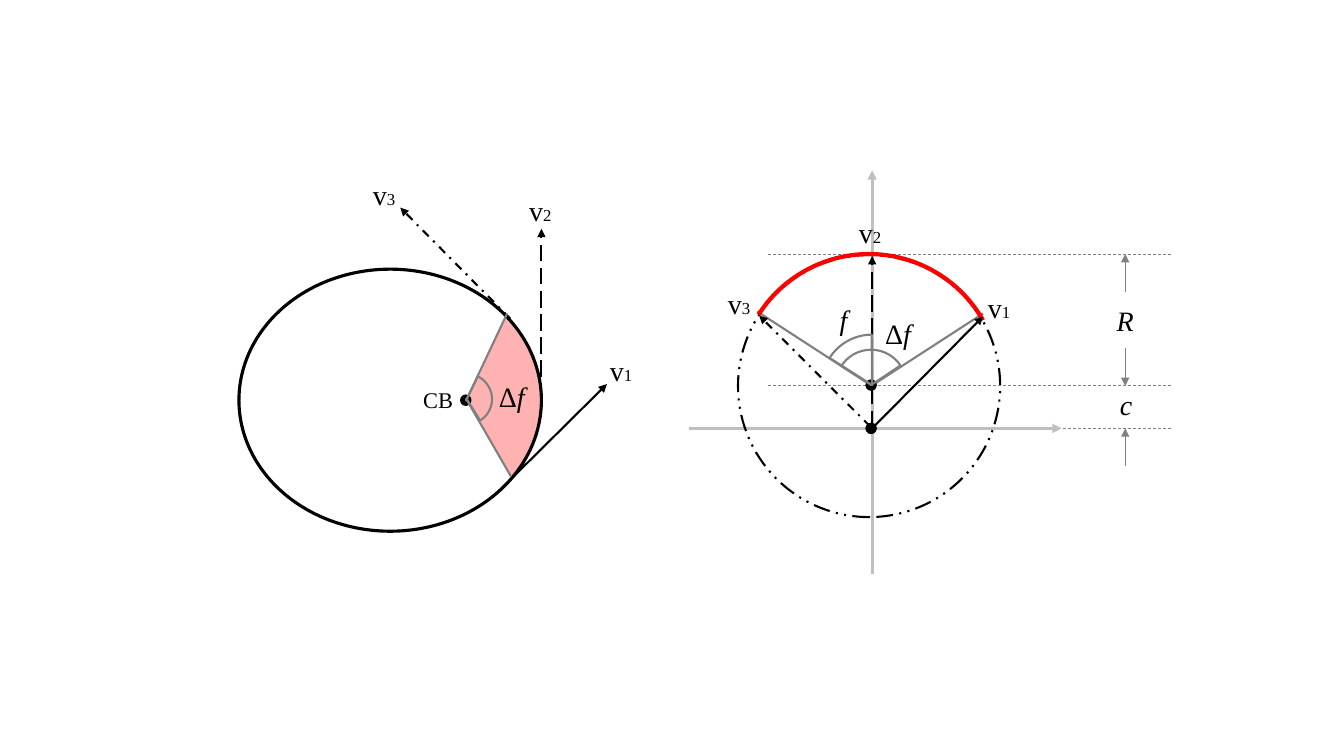
from lxml.etree import SubElement
from pptx import Presentation
from pptx.dml.color import RGBColor
from pptx.enum.dml import MSO_LINE as DASH
from pptx.enum.shapes import MSO_CONNECTOR, MSO_SHAPE as SHAPE
from pptx.enum.text import MSO_AUTO_SIZE, PP_ALIGN as ALIGN
from pptx.oxml.ns import qn
from pptx.util import Inches, Pt

BLACK = RGBColor(0x00, 0x00, 0x00)
GRAY = RGBColor(0x80, 0x80, 0x80)
SILVER = RGBColor(0xBF, 0xBF, 0xBF)
RED = RGBColor(0xFF, 0x00, 0x00)

FONT = "Times New Roman"
BIG, MEDIUM, SMALL = 20, 16, 12
DIAMETER = 2.6
DOT = 0.1
SECTOR = [(4.63, 3.99), (5.07, 4.73), (5.14, 4.65), (5.25, 4.48), (5.3, 4.37),
          (5.35, 4.17), (5.38, 4.01), (5.37, 3.87), (5.33, 3.67), (5.26, 3.44),
          (5.17, 3.32), (5.03, 3.11)]
ORBIT_VELOCITIES = [((4.92, 4.9), (6.02, 3.81), None),
                    ((5.37, 3.97), (5.37, 2.27), DASH.LONG_DASH),
                    ((5.06, 3.16), (3.97, 2.06), DASH.DASH_DOT)]
HODOGRAPH_VELOCITIES = [((8.66, 4.24), (9.75, 3.14), None),
                        ((8.65, 4.24), (8.65, 2.54), DASH.LONG_DASH),
                        ((8.63, 4.23), (7.53, 3.13), DASH.DASH_DOT)]


def style_line(line, color, width, dash=None):
    """Set colour, width and dash of an outline."""
    line.color.rgb = color
    for name, value in {"width": Pt(width), "dash_style": dash}.items():
        setattr(line, name, value)


def add_line(slide, start, end, color, width, dash=None, arrow=False):
    """Draw a straight line, with an arrowhead at its end if asked."""
    points = [Inches(v) for v in (*start, *end)]
    cxn = slide.shapes.add_connector(MSO_CONNECTOR.STRAIGHT, *points)
    style_line(cxn.line, color, width, dash)
    sp_pr = cxn._element.spPr
    if arrow:
        SubElement(sp_pr.find(qn("a:ln")), qn("a:tailEnd"), type="triangle")
    SubElement(sp_pr, qn("a:effectLst"))


def add_round(slide, kind, box, color, width, fill=None, dash=None, rotation=0, angles=()):
    """Draw an ellipse, arc or pie; angles are in degrees."""
    sp = slide.shapes.add_shape(kind, *[Inches(v) for v in box])
    sp.shadow.inherit = False
    sp.rotation = rotation
    for i, angle in enumerate(angles):
        sp.adjustments[i] = angle * 0.6
    if fill is None:
        sp.fill.background()
    else:
        sp.fill.solid()
        sp.fill.fore_color.rgb = fill
    style_line(sp.line, color, width, dash)


def add_dot(slide, left, top):
    """Draw a small black centre point."""
    add_round(slide, SHAPE.OVAL, (left, top, DOT, DOT), BLACK, 1, fill=BLACK, rotation=270)


def add_sector(slide):
    """Draw the translucent swept area of the orbit."""
    points = [(Inches(x), Inches(y)) for x, y in SECTOR]
    builder = slide.shapes.build_freeform(*points[0])
    builder.add_line_segments(points[1:], close=True)
    sp = builder.convert_to_shape()
    sp.shadow.inherit = False
    sp.fill.solid()
    sp.fill.fore_color.rgb = RED
    color = sp._element.spPr.find(qn("a:solidFill"))[0]
    SubElement(color, qn("a:alpha"), val="30000")
    sp.line.fill.background()


def add_label(slide, left, top, runs, align=ALIGN.LEFT, width=1, height=0.44):
    """Write a label from (text, size, italic) runs."""
    sp = slide.shapes.add_textbox(*[Inches(v) for v in (left, top, width, height)])
    tf = sp.text_frame
    tf.word_wrap = True
    tf.auto_size = MSO_AUTO_SIZE.SHAPE_TO_FIT_TEXT
    p = tf.paragraphs[0]
    p.alignment = align
    for text, size, italic in runs:
        r = p.add_run()
        r.text = text
        r.font.color.rgb = BLACK
        for name, value in {"name": FONT, "size": Pt(size), "italic": italic}.items():
            setattr(r.font, name, value)


def add_velocity_labels(slide, places):
    """Label velocity vectors with subscript-sized numbers."""
    for number, left, top in places:
        add_label(slide, left, top, [("v", BIG, False), (number, SMALL, False)])


def add_velocities(slide, vectors):
    """Draw the three velocity arrows."""
    for start, end, dash in vectors:
        add_line(slide, start, end, BLACK, 1.5, dash, arrow=True)


def draw_hodograph_base(slide):
    """Draw guides, axes, circle and velocities of the hodograph."""
    for y in (2.52, 3.82, 4.25):
        add_line(slide, (7.62, y), (11.62, y), GRAY, 0.5, DASH.DASH)
    add_line(slide, (9.75, 3.11), (8.64, 3.83), GRAY, 1.5)
    add_line(slide, (7.51, 3.09), (8.62, 3.81), GRAY, 1.5)
    add_line(slide, (8.65, 5.69), (8.65, 1.69), SILVER, 2.25, arrow=True)
    add_line(slide, (6.83, 4.25), (10.53, 4.25), SILVER, 2.25, arrow=True)
    add_round(slide, SHAPE.OVAL, (7.32, 2.53, DIAMETER, DIAMETER), BLACK, 1.5,
              dash=DASH.DASH_DOT_DOT, rotation=270)
    add_dot(slide, 8.59, 4.2)
    add_round(slide, SHAPE.ARC, (7.32, 2.52, DIAMETER, DIAMETER), RED, 3,
              rotation=270, angles=(302.5, 60.34))
    add_velocities(slide, HODOGRAPH_VELOCITIES)


def draw_orbit(slide):
    """Draw the orbit with its swept area and velocities."""
    add_sector(slide)
    add_round(slide, SHAPE.OVAL, (2.57, 2.47, DIAMETER, 3), BLACK, 2.25, rotation=270)
    add_dot(slide, 4.57, 3.92)
    add_velocities(slide, ORBIT_VELOCITIES)
    add_velocity_labels(slide, [("3", 3.6, 1.71), ("2", 5.15, 1.87), ("1", 5.95, 3.46)])
    add_label(slide, 3.79, 3.78, [("CB", MEDIUM, False)], ALIGN.CENTER, 1.11, 0.37)


def draw_angles(slide):
    """Mark the angles in both diagrams."""
    delta_f = [("Δ", BIG, False), ("f", BIG, True)]
    add_dot(slide, 8.59, 3.77)
    add_round(slide, SHAPE.PIE, (8.29, 3.47, 0.7, 0.7), GRAY, 1.5, angles=(212.46, 326.49))
    add_round(slide, SHAPE.PIE, (4.38, 3.71, 0.5, 0.5), GRAY, 1.5,
              rotation=90, angles=(205.86, 328.13))
    add_line(slide, (4.62, 3.98), (5.03, 3.11), GRAY, 1.5)
    add_line(slide, (4.62, 3.95), (5.07, 4.73), GRAY, 1.5)
    add_label(slide, 4.85, 3.72, delta_f)
    add_label(slide, 8.68, 3.09, delta_f)


def draw_dimensions(slide):
    """Draw the dimension arrows and the true anomaly."""
    for start, end in ((3.45, 3.83), (2.9, 2.52), (4.62, 4.25)):
        add_line(slide, (11.16, start), (11.16, end), GRAY, 0.5, arrow=True)
    for text, left, top in (("R", 10.66, 2.96), ("c", 10.67, 3.8)):
        add_label(slide, left, top, [(text, BIG, True)], ALIGN.CENTER)
    add_round(slide, SHAPE.PIE, (8.15, 3.32, 1, 1), GRAY, 1.5, angles=(212.46, 269.5))
    add_label(slide, 8.23, 2.95, [("f", BIG, True)])


def main():
    """Build and save the slide."""
    prs = Presentation()
    prs.slide_width, prs.slide_height = Inches(13.33), Inches(7.5)
    slide = prs.slides.add_slide(prs.slide_layouts[6])
    draw_hodograph_base(slide)
    draw_orbit(slide)
    add_velocity_labels(slide, [("2", 8.42, 2.09), ("3", 7.12, 2.79), ("1", 9.7, 2.83)])
    draw_angles(slide)
    draw_dimensions(slide)
    prs.save("out.pptx")


main()
